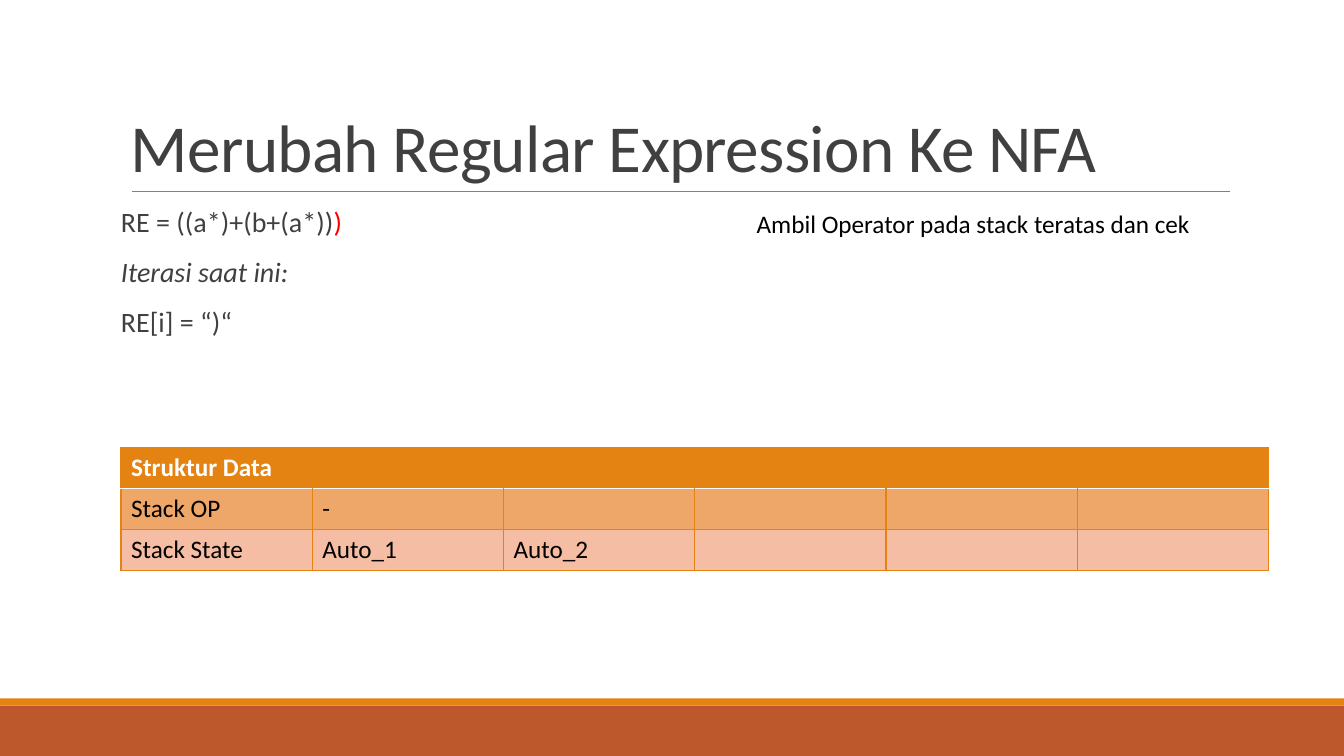
from dataclasses import dataclass

from lxml import etree
from pptx import Presentation
from pptx.dml.color import RGBColor
from pptx.enum.shapes import MSO_CONNECTOR, MSO_SHAPE
from pptx.enum.text import MSO_ANCHOR
from pptx.oxml.ns import qn
from pptx.util import Cm, Pt

RECT = MSO_SHAPE.RECTANGLE
STRAIGHT = MSO_CONNECTOR.STRAIGHT
TOP, BOTTOM = MSO_ANCHOR.TOP, MSO_ANCHOR.BOTTOM


@dataclass(frozen=True)
class Theme:
    font: str = "Calibri"
    title_size: float = 48
    body_size: float = 20
    table_size: float = 18
    dark: str = "404040"
    black: str = "000000"
    white: str = "FFFFFF"
    red: str = "FF0000"
    grey: str = "808080"
    orange: str = "E48312"
    rust: str = "BD582C"
    op_row: str = "EEA669"
    state_row: str = "F5BDA3"


THEME = Theme()


@dataclass(frozen=True)
class Run:
    text: str
    color: str = THEME.dark
    bold: bool = False
    italic: bool = False


@dataclass(frozen=True)
class Band:
    top: float
    height: float
    color: str


@dataclass(frozen=True)
class StackRow:
    values: tuple[str, ...]
    fill: str
    color: str = THEME.black
    bold: bool = False


@dataclass(frozen=True)
class Edge:
    tag: str
    color: str | None
    width: float = 1


SLIDE_W, SLIDE_H = 33.87, 19.05
LEFT = 3.05
COLUMNS, COLUMN_W, ROW_H = 6, 4.82, 1.03
BANDS = (Band(17.78, 1.27, THEME.rust), Band(17.6, 0.18, THEME.orange))
BODY = (
    (Run("RE = ((a*)+(b+(a*))"), Run(")", THEME.red)),
    (Run("Iterasi saat ini:", italic=True),),
    (Run("RE[i] = “)“"),),
)
ROWS = (
    StackRow(("Struktur Data",), THEME.orange, THEME.white, True),
    StackRow(("Stack OP", "-"), THEME.op_row),
    StackRow(("Stack State", "Auto_1", "Auto_2"), THEME.state_row),
)


def rgb(color: str) -> RGBColor:
    return RGBColor.from_string(color)


def write(tf, paragraphs, *, size: float, line: float = 1, before: float = 0,
          after: float = 0, spacing: int = 0) -> None:
    for i, runs in enumerate(paragraphs):
        p = tf.add_paragraph() if i else tf.paragraphs[0]
        p.line_spacing = line
        p.space_before, p.space_after = Pt(before), Pt(after)
        for run in runs:
            r = p.add_run()
            r.text = run.text
            r.font.name, r.font.size = THEME.font, Pt(size)
            r.font.bold, r.font.italic = run.bold, run.italic
            r.font.color.rgb = rgb(run.color)
            if spacing:
                r.font._element.set("spc", str(spacing))


def add_text(s, left: float, top: float, width: float, height: float, paragraphs,
             *, anchor=TOP, wrap: bool = True, inset: float = 0.25, **style) -> None:
    tf = s.shapes.add_textbox(Cm(left), Cm(top), Cm(width), Cm(height)).text_frame
    tf.word_wrap, tf.vertical_anchor = wrap, anchor
    tf.margin_left = tf.margin_right = Cm(inset)
    write(tf, paragraphs, **style)


def add_band(s, band: Band) -> None:
    sp = s.shapes.add_shape(RECT, 0, Cm(band.top), Cm(SLIDE_W), Cm(band.height))
    sp.shadow.inherit = False
    sp.fill.solid()
    sp.fill.fore_color.rgb = rgb(band.color)
    sp.line.fill.background()


def add_title_rule(s) -> None:
    rule = s.shapes.add_connector(STRAIGHT, Cm(3.32), Cm(4.82), Cm(31), Cm(4.82))
    rule.line.color.rgb = rgb(THEME.grey)
    rule.line.width = Pt(0.5)
    etree.SubElement(rule._element.spPr, qn("a:effectLst"))


def set_borders(cell, edges: list[Edge]) -> None:
    tc_pr = cell._tc.get_or_add_tcPr()
    for i, edge in enumerate(edges):
        ln = etree.Element(qn(f"a:{edge.tag}"), w=str(Pt(edge.width)))
        if edge.color:
            fill = etree.SubElement(ln, qn("a:solidFill"))
            etree.SubElement(fill, qn("a:srgbClr"), val=edge.color)
        else:
            etree.SubElement(ln, qn("a:noFill"))
        tc_pr.insert(i, ln)


def cell_edges(row: int, col: int) -> list[Edge]:
    header_rule = (THEME.white, 1.25)
    plain = (THEME.orange, 1)
    left = THEME.orange if row or col == 0 else None
    right = THEME.orange if row or col == COLUMNS - 1 else None
    return [
        Edge("lnL", left),
        Edge("lnR", right),
        Edge("lnT", *(header_rule if row == 1 else plain)),
        Edge("lnB", *(header_rule if row == 0 else plain)),
    ]


def add_stack_table(s, rows: tuple[StackRow, ...]) -> None:
    table = s.shapes.add_table(len(rows), COLUMNS, Cm(LEFT), Cm(11.28),
                               Cm(COLUMNS * COLUMN_W), Cm(len(rows) * ROW_H)).table
    table.first_row = table.horz_banding = False
    for column in table.columns:
        column.width = Cm(COLUMN_W)
    for i, row in enumerate(rows):
        table.rows[i].height = Cm(ROW_H)
        for j in range(COLUMNS):
            cell = table.cell(i, j)
            cell.fill.solid()
            cell.fill.fore_color.rgb = rgb(row.fill)
            set_borders(cell, cell_edges(i, j))
            if j < len(row.values):
                run = Run(row.values[j], row.color, row.bold)
                write(cell.text_frame, [[run]], size=THEME.table_size)


def main() -> None:
    prs = Presentation()
    prs.slide_width, prs.slide_height = Cm(SLIDE_W), Cm(SLIDE_H)
    s = prs.slides.add_slide(prs.slide_layouts[6])
    s.background.fill.solid()
    s.background.fill.fore_color.rgb = rgb(THEME.white)
    for band in BANDS:
        add_band(s, band)
    add_title_rule(s)
    add_text(s, LEFT, 0.79, 27.94, 4.04, [[Run("Merubah Regular Expression Ke NFA")]],
             anchor=BOTTOM, size=THEME.title_size, line=0.85, spacing=-50)
    add_text(s, LEFT, 5.13, 27.94, 11.18, BODY, inset=0,
             size=THEME.body_size, line=0.9, before=12, after=2)
    add_stack_table(s, ROWS)
    add_text(s, 18.82, 5.13, 11.53, 1.02,
             [[Run("Ambil Operator pada stack teratas dan cek", THEME.black)]],
             wrap=False, size=THEME.table_size)
    prs.save("out.pptx")


if __name__ == "__main__":
    main()
